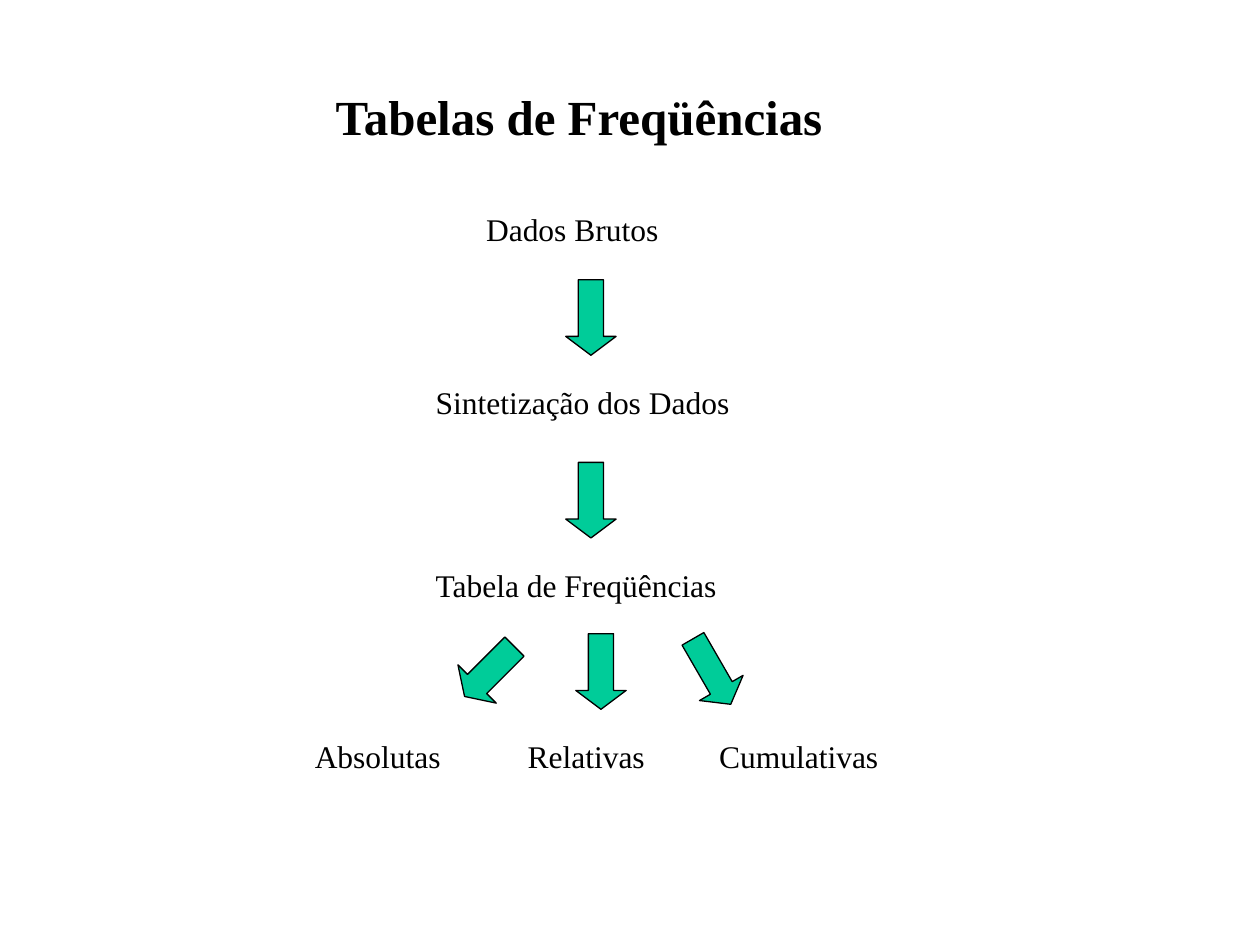
from dataclasses import dataclass

from pptx import Presentation
from pptx.dml.color import RGBColor
from pptx.enum.shapes import MSO_SHAPE
from pptx.enum.text import MSO_ANCHOR, PP_ALIGN
from pptx.util import Pt

PX = 9144


@dataclass(frozen=True)
class Theme:
    font: str = "Times New Roman"
    ink: RGBColor = RGBColor(0, 0, 0)
    arrow: RGBColor = RGBColor(0x00, 0xCC, 0x99)
    paper: RGBColor = RGBColor(255, 255, 255)
    title_size: int = 28
    label_size: int = 18
    outline: float = 0.75


THEME = Theme()
LABEL_HEIGHT = 40
ARROW_SIZE = (40, 60)


def emu(*lengths):
    return [length * PX for length in lengths]


def write(frame, wording, size, bold, align, anchor):
    frame.word_wrap = True
    frame.vertical_anchor = anchor
    frame.text = wording
    paragraph = frame.paragraphs[0]
    paragraph.alignment = align
    font = paragraph.runs[0].font
    font.name = THEME.font
    font.size = Pt(size)
    font.bold = bold
    font.color.rgb = THEME.ink


def add_label(slide, left, top, width, wording):
    right, bottom = left + width, top + LABEL_HEIGHT
    outline = slide.shapes.build_freeform(left, top, scale=PX)
    outline.add_line_segments([(right, top), (right, bottom), (left, bottom)])
    label = outline.convert_to_shape()
    label.shadow.inherit = False
    label.fill.background()
    label.line.fill.background()
    write(label.text_frame, wording, THEME.label_size, False,
          PP_ALIGN.LEFT, MSO_ANCHOR.TOP)


def add_arrow(slide, left, top, size=ARROW_SIZE, rotation=0):
    width, height = size
    arrow = slide.shapes.add_shape(MSO_SHAPE.DOWN_ARROW, *emu(left, top, *size))
    arrow.adjustments[0] = 0.5
    arrow.adjustments[1] = height / width / 4
    arrow.rotation = rotation
    arrow.shadow.inherit = False
    arrow.fill.solid()
    arrow.fill.fore_color.rgb = THEME.arrow
    arrow.line.color.rgb = THEME.ink
    arrow.line.width = Pt(THEME.outline)


def add_title(slide, box):
    title = slide.shapes.add_textbox(*emu(*box))
    write(title.text_frame, "Tabelas de Freqüências", THEME.title_size, True,
          PP_ALIGN.CENTER, MSO_ANCHOR.BOTTOM)


def add_steps(slide, box):
    left, top, width, height = box
    for wording, indent, drop in [
        ("Dados Brutos", 40, 0),
        ("Sintetização dos Dados", 0, 137),
        ("Tabela de Freqüências", 0, height - LABEL_HEIGHT),
    ]:
        add_label(slide, left + indent, top + drop, width - 2 * indent, wording)
    for drop in (60, 205):
        add_arrow(slide, left + 113, top + drop)


def add_branches(slide, box):
    left, top, width, height = box
    for offset, drop, size, rotation in [
        (127, 2, (43, 56), 45),
        (217, 0, ARROW_SIZE, 0),
        (305, 0, ARROW_SIZE, 330),
    ]:
        add_arrow(slide, left + offset, top + drop, size, rotation)
    label_top = top + height - LABEL_HEIGHT
    for wording, offset, label_width in [
        ("Absolutas", 0, 160),
        ("Relativas", 169, 160),
        ("Cumulativas", 321, width - 321),
    ]:
        add_label(slide, left + offset, label_top, label_width, wording)


def main():
    deck = Presentation()
    deck.slide_width, deck.slide_height = emu(1000, 750)
    slide = deck.slides.add_slide(deck.slide_layouts[6])
    slide.background.fill.solid()
    slide.background.fill.fore_color.rgb = THEME.paper
    add_title(slide, (125, 63, 669, 57))
    add_steps(slide, (336, 162, 393, 322))
    add_branches(slide, (240, 503, 554, 117))
    deck.save("out.pptx")


if __name__ == "__main__":
    main()
